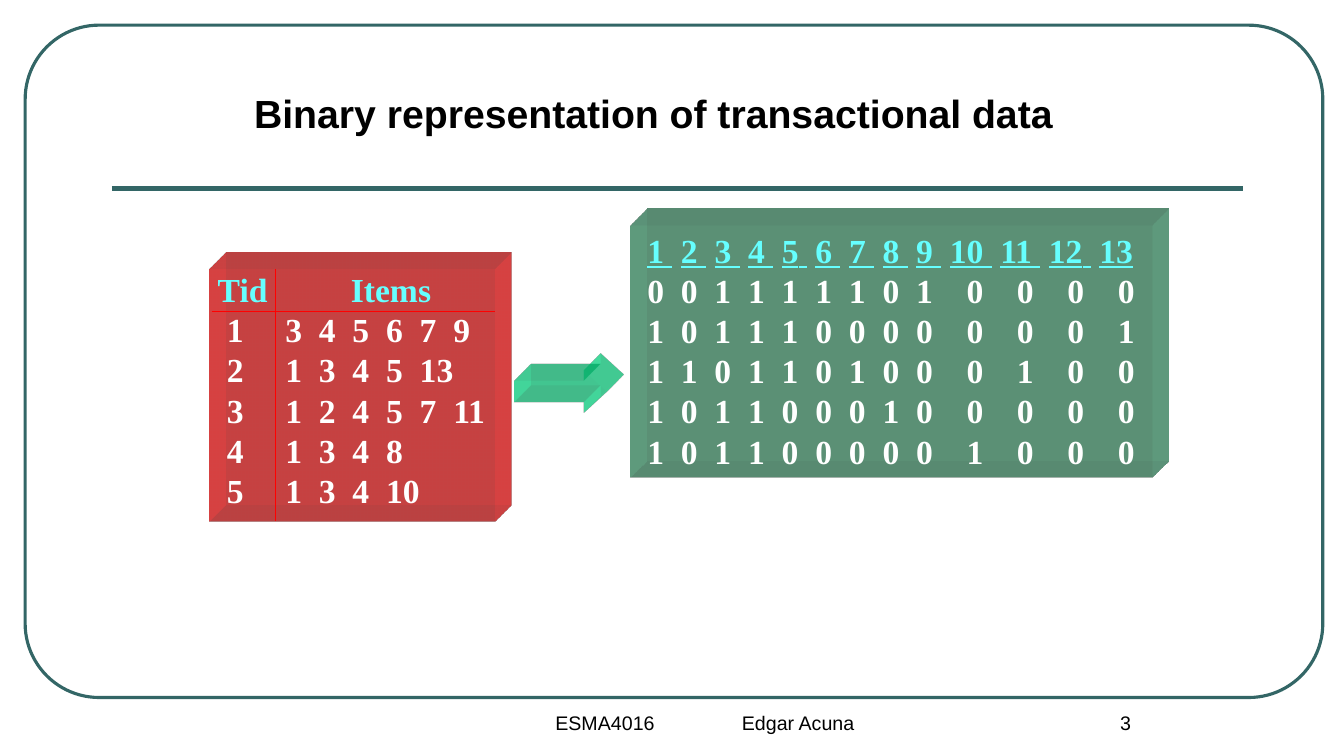
import dataclasses
import pptx
import pptx.util
import pptx.dml.color
import pptx.enum.shapes
import pptx.enum.text
import pptx.oxml.ns
import lxml.etree

Inches = pptx.util.Inches
Pt = pptx.util.Pt
SHAPE = pptx.enum.shapes.MSO_SHAPE
ANCHOR = pptx.enum.text.MSO_ANCHOR
ALIGN = pptx.enum.text.PP_ALIGN
qn = pptx.oxml.ns.qn


@dataclasses.dataclass(frozen=True)
class Theme:
    sans: str = "Arial"
    serif: str = "Times New Roman"
    title: float = 28
    body: float = 24
    leading: float = 28.7
    footer: float = 14
    ink: str = "000000"
    rule: str = "336666"
    header: str = "66FFFF"
    value: str = "FFFFFF"
    red: str = "FF0000"
    green: str = "339966"
    mint: str = "00FF99"
    alpha: int = 50


T = Theme()
DEPTH = 0.47
PITCH = 0.3333


def rgb(value):
    return pptx.dml.color.RGBColor.from_string(value)


def add_child(parent, tag, **attrs):
    child = lxml.etree.SubElement(parent, qn(tag))
    for name, value in attrs.items():
        child.set(name, str(value))
    return child


def add_line(s, x1, y1, x2, y2, color, width):
    line = s.shapes.add_connector(
        pptx.enum.shapes.MSO_CONNECTOR.STRAIGHT,
        Inches(x1), Inches(y1), Inches(x2), Inches(y2))
    line.line.color.rgb = rgb(color)
    line.line.width = Pt(width)
    add_child(line._element.spPr, "a:effectLst")


def format_runs(p, font, size, color, bold=False, underline=False):
    for r in p.runs:
        r.font.name = font
        r.font.size = Pt(size)
        r.font.color.rgb = rgb(color)
        r.font.bold = bold
        r.font.underline = underline


def set_tabs(p, stops, align="l"):
    tabs = add_child(p._p.get_or_add_pPr(), "a:tabLst")
    for stop in stops:
        add_child(tabs, "a:tab", pos=Inches(stop), algn=align)


def add_solid(s, box, kind, color):
    sp = s.shapes.add_shape(kind, *map(Inches, box))
    sp.shadow.inherit = False
    sp.fill.solid()
    sp.fill.fore_color.rgb = rgb(color)
    sp.line.fill.background()
    spPr = sp._element.spPr
    add_child(spPr.find(qn("a:solidFill"))[0], "a:alpha", val=T.alpha * 1000)
    scene = add_child(spPr, "a:scene3d")
    add_child(scene, "a:camera", prst="legacyObliqueTopRight")
    add_child(scene, "a:lightRig", rig="legacyFlat3", dir="b")
    solid = add_child(spPr, "a:sp3d", extrusionH=Inches(DEPTH),
                      prstMaterial="legacyMatte")
    add_child(add_child(solid, "a:extrusionClr"), "a:srgbClr", val=color)
    return sp


def add_block(s, box, color, inset, rows):
    sp = add_solid(s, box, SHAPE.RECTANGLE, color)
    tf = sp.text_frame
    tf.word_wrap = True
    tf.vertical_anchor = ANCHOR.TOP
    tf.margin_left, tf.margin_top = map(Inches, inset)
    tf.margin_right = tf.margin_bottom = 0
    tf.text = "\n".join(rows)
    for p in tf.paragraphs:
        p.alignment = ALIGN.LEFT
        p.line_spacing = Pt(T.leading)
        format_runs(p, T.serif, T.body, T.value, True)
    return tf.paragraphs


def transactions(s, box):
    x, y, w, h = box
    baskets = ["3 4 5 6 7 9", "1 3 4 5 13", "1 2 4 5 7 11", "1 3 4 8", "1 3 4 10"]
    rows = ["\t" + "\t".join([str(tid), *items.split()])
            for tid, items in enumerate(baskets, 1)]
    head, *body = add_block(s, box, T.red, (0.08, 0), ["Tid\tItems", *rows])
    format_runs(head, T.serif, T.body, T.header, True)
    set_tabs(head, [1.32])
    for p in body:
        set_tabs(p, [0.09] + [0.67 + PITCH * i for i in range(6)])
    add_line(s, x + 0.65, y, x + 0.65, y + h, T.red, 0.75)
    add_line(s, x + 0.02, y + 0.42, x + w, y + 0.42, T.red, 0.75)


def binary_matrix(s, box):
    bits = ["0011111010000", "1011100000001", "1101101000100",
            "1011000100000", "1011000001000"]
    head, *body = add_block(s, box, T.green, (0.17, 0.04),
                            ["1", *("\t".join(row) for row in bits)])
    for n in range(2, 14):
        gap = head.add_run()
        gap.text = " "
        gap._r.get_or_add_rPr().set("spc", "600")
        head.add_run().text = str(n)
    format_runs(head, T.serif, T.body, T.header, True, True)
    stops = [PITCH * (i + 0.5) for i in range(1, 9)]
    stops += [stops[-1] + 0.5 * i for i in range(1, 5)]
    for p in body:
        set_tabs(p, stops, "r")


def arrow(s, box):
    sp = add_solid(s, box, SHAPE.RIGHT_ARROW, T.mint)
    sp.adjustments[0] = 0.5
    sp.adjustments[1] = 0.55


def frame(s, box):
    x, y, w, h = box
    sp = s.shapes.add_shape(SHAPE.ROUNDED_RECTANGLE, *map(Inches, box))
    sp.adjustments[0] = 0.11
    sp.shadow.inherit = False
    sp.fill.background()
    sp.line.color.rgb = rgb(T.rule)
    sp.line.width = Pt(2.25)
    add_line(s, x + 0.86, y + 1.62, x + w - 0.79, y + 1.62, T.rule, 3)


def title(s, box):
    sp = s.shapes.title
    sp.left, sp.top, sp.width, sp.height = map(Inches, box)
    tf = sp.text_frame
    tf.text = "Binary representation of transactional data"
    tf.word_wrap = True
    tf.vertical_anchor = ANCHOR.MIDDLE
    p = tf.paragraphs[0]
    p.alignment = ALIGN.LEFT
    format_runs(p, T.sans, T.title, T.ink, True)


def footer(s, box):
    x, y, w, h = box
    parts = [("ESMA4016\tEdgar Acuna", x, 3.5, ALIGN.LEFT),
             ("3", x + w - 2.33, 2.33, ALIGN.CENTER)]
    for text, left, width, align in parts:
        tb = s.shapes.add_textbox(Inches(left), Inches(y), Inches(width), Inches(h))
        tf = tb.text_frame
        tf.word_wrap = True
        tf.text = text
        p = tf.paragraphs[0]
        p.alignment = align
        format_runs(p, T.sans, T.footer, T.ink)
        if "\t" in text:
            set_tabs(p, [1.85])


prs = pptx.Presentation()
prs.slide_width, prs.slide_height = Inches(13.33), Inches(7.5)
s = prs.slides.add_slide(prs.slide_layouts[5])
frame(s, (0.25, 0.25, 12.87, 6.67))
title(s, (2.42, 0.83, 8.42, 0.58))
transactions(s, (2.08, 2.67, 2.83, 2.5))
binary_matrix(s, (6.25, 2.24, 5.17, 2.5))
arrow(s, (5.1, 3.67, 0.92, 0.42))
footer(s, (5.41, 7, 6.92, 0.5))
prs.save("out.pptx")
